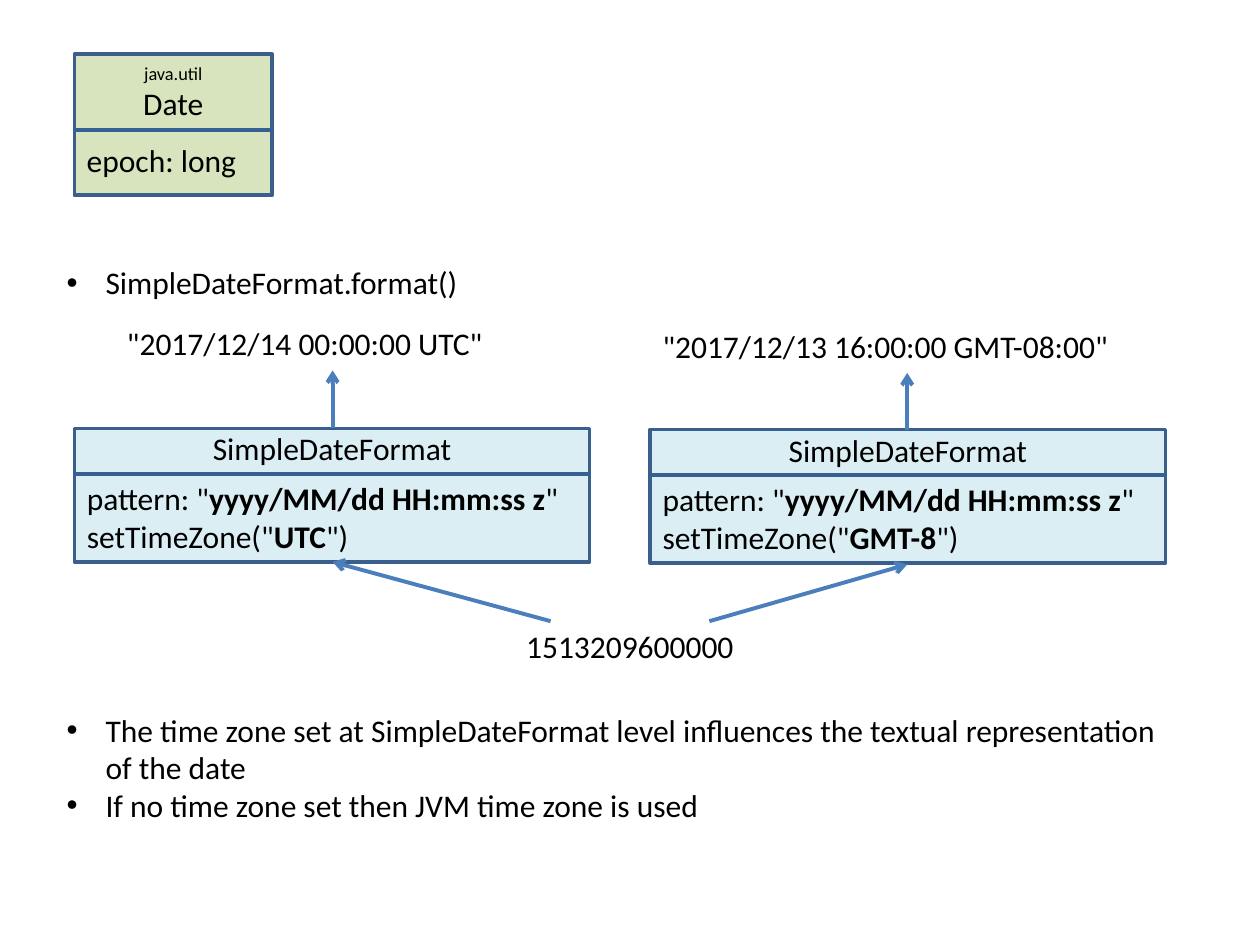
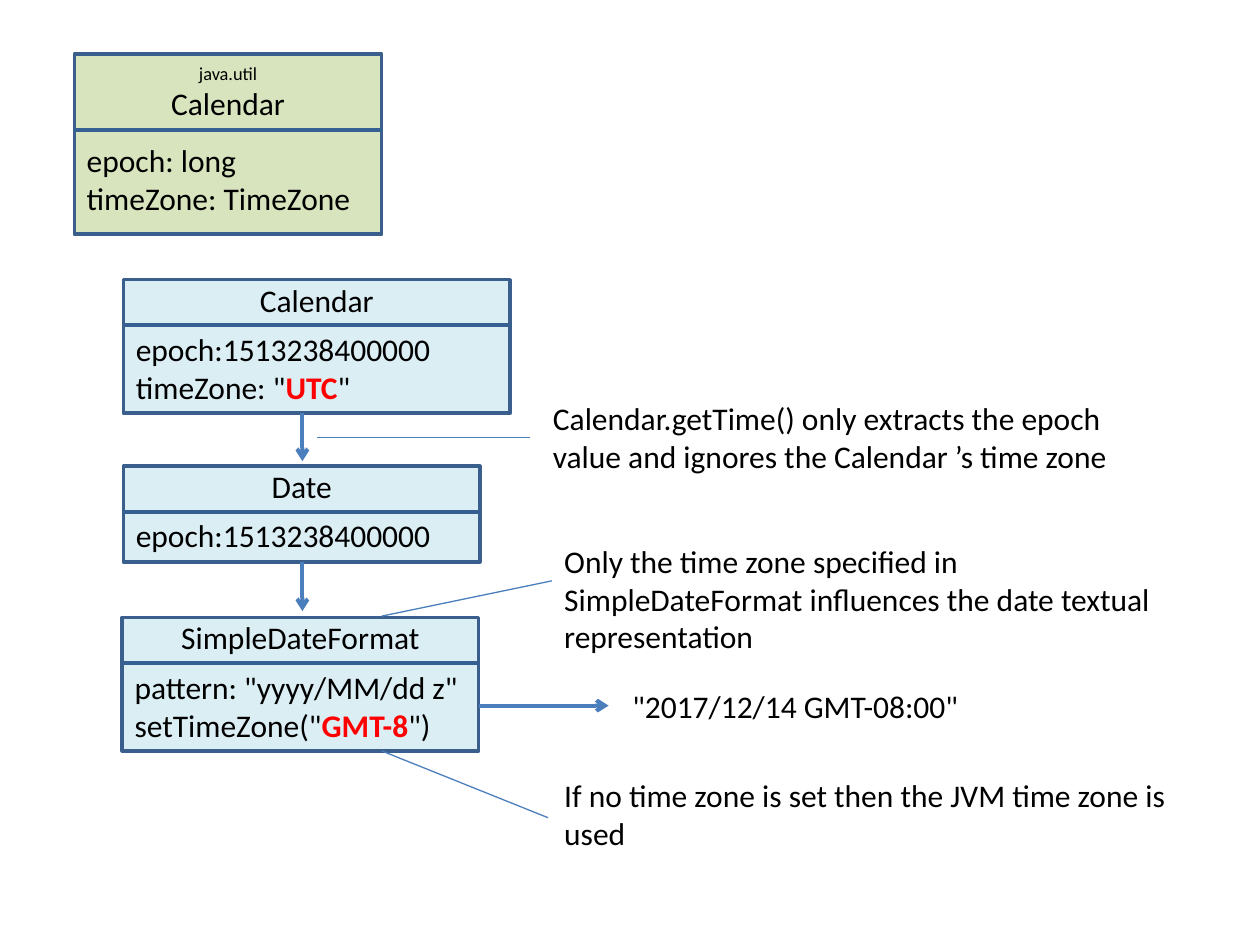
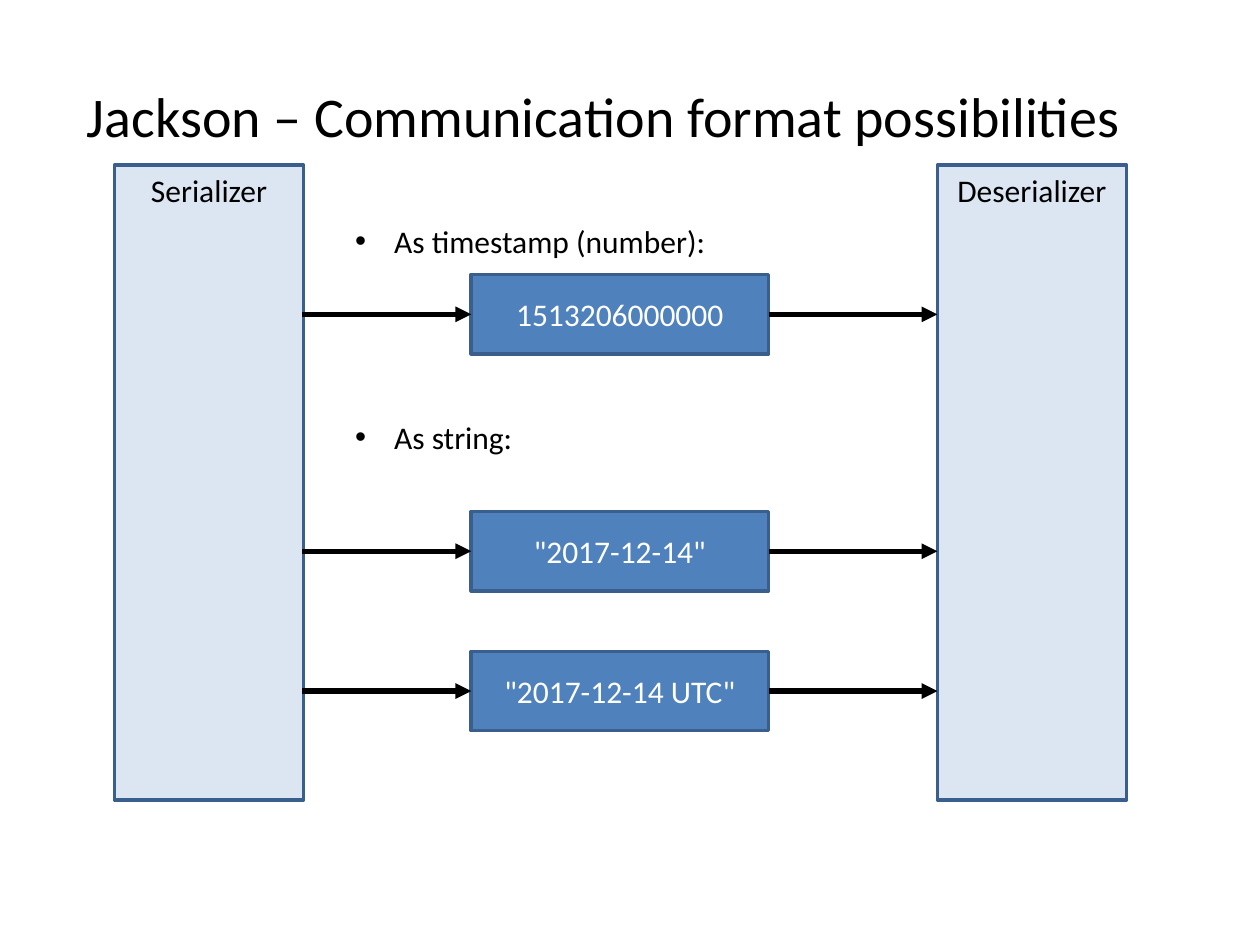
from lxml.etree import SubElement
from pptx import Presentation
from pptx.dml.color import RGBColor
from pptx.enum.shapes import MSO_CONNECTOR, MSO_SHAPE
from pptx.enum.text import MSO_ANCHOR, MSO_AUTO_SIZE, PP_ALIGN
from pptx.oxml.ns import qn
from pptx.util import Inches, Pt

INK, WHITE, RED = "000000", "FFFFFF", "FF0000"
GREEN, AQUA, PALE, BLUE = "D7E4BD", "DBEEF4", "DCE6F2", "4F81BD"
EDGE, RULE, LINK = "3A5F8C", "376092", "4B7EBC"
LEFT, MID = PP_ALIGN.LEFT, PP_ALIGN.CENTER

FRAME = {"word_wrap": True, "auto_size": MSO_AUTO_SIZE.SHAPE_TO_FIT_TEXT,
         "vertical_anchor": MSO_ANCHOR.TOP}
FONT = {"name": "Calibri", "size": Pt(18)}


def write(shape, lines, align=LEFT, bullet=False, color=INK, strong=INK, frame={}, font={}):
    body = shape.text_frame
    for key, value in {**FRAME, **frame}.items():
        setattr(body, key, value)
    for row, line in enumerate(lines):
        para = body.add_paragraph() if row else body.paragraphs[0]
        para.alignment = align
        if bullet:
            props = para._p.get_or_add_pPr()
            props.set("marL", str(Inches(0.31)))
            props.set("indent", str(-Inches(0.31)))
            SubElement(props, qn("a:buFont"), typeface="Arial")
            SubElement(props, qn("a:buChar"), char="•")
        for part, text in enumerate(line.split("*")):
            bold = part % 2 == 1
            run = para.add_run()
            run.text = text
            for key, value in {**FONT, "bold": bold, **font}.items():
                setattr(run.font, key, value)
            run.font.color.rgb = RGBColor.from_string(strong if bold else color)


def join(slide, ends, color=LINK, width=2.25, tip=None):
    line = slide.shapes.add_connector(MSO_CONNECTOR.STRAIGHT, *map(Inches, ends))
    line.line.color.rgb = RGBColor.from_string(color)
    line.line.width = Pt(width)
    if tip:
        SubElement(line.line._get_or_add_ln(), qn("a:tailEnd"), type=tip)
    SubElement(line._element.spPr, qn("a:effectLst"))


deck = Presentation()
deck.slide_width, deck.slide_height = Inches(10), Inches(7.5)
dates, zones, wire = [deck.slides.add_slide(deck.slide_layouts[n]) for n in (6, 6, 5)]

boxes = [
    (dates, (0.59, 0.43, 1.57, 1.12), GREEN),
    (dates, (0.59, 3.4, 4.09, 1.06), AQUA),
    (dates, (5.16, 3.41, 4.09, 1.06), AQUA),
    (zones, (0.59, 0.43, 2.44, 1.43), GREEN),
    (zones, (0.98, 2.22, 3.07, 1.06), AQUA),
    (zones, (0.98, 3.7, 2.83, 0.76), AQUA),
    (zones, (0.97, 4.9, 2.83, 1.06), AQUA),
    (wire, (0.91, 1.31, 1.5, 5.04), PALE),
    (wire, (7.44, 1.31, 1.5, 5.04), PALE),
    (wire, (3.74, 2.18, 2.36, 0.63), BLUE),
    (wire, (3.74, 4.06, 2.36, 0.63), BLUE),
    (wire, (3.74, 5.17, 2.36, 0.63), BLUE),
]
rects = []
for slide, box, fill in boxes:
    rect = slide.shapes.add_shape(MSO_SHAPE.RECTANGLE, *map(Inches, box))
    rect.shadow.inherit = False
    rect.fill.solid()
    rect.fill.fore_color.rgb = RGBColor.from_string(fill)
    rect.line.color.rgb = RGBColor.from_string(EDGE)
    rect.line.width = Pt(2)
    rects.append(rect)

full = 'pattern: "*yyyy/MM/dd HH:mm:ss z*"'
stamp = "epoch:1513238400000"
cards = [
    ("Date", ["epoch: long"]),
    ("SimpleDateFormat", [full, 'setTimeZone("*UTC*")']),
    ("SimpleDateFormat", [full, 'setTimeZone("*GMT-8*")']),
    ("Calendar", ["epoch: long", "timeZone: TimeZone"]),
    ("Calendar", [stamp, 'timeZone: "*UTC*"']),
    ("Date", [stamp]),
    ("SimpleDateFormat", ['pattern: "yyyy/MM/dd z"', 'setTimeZone("*GMT-8*")']),
]
for (slide, (x, y, w, h), fill), (name, rows) in zip(boxes, cards):
    util = fill == GREEN
    head, tall, rule, body = (0.01, 0.58, 0.6, 0.64) if util else (-0.04, 0.4, 0.36, 0.35)
    top = slide.shapes.add_textbox(*map(Inches, (x, y + head, w, tall)))
    write(top, ["java.util", name] if util else [name], MID)
    if util:
        top.text_frame.paragraphs[0].runs[0].font.size = Pt(10.5)
    join(slide, (x, y + rule, x + w, y + rule), RULE)
    low = slide.shapes.add_textbox(*map(Inches, (x, y + body, w, 0.09 + 0.31 * len(rows))))
    write(low, rows, strong=RED if slide is zones else INK)

notes = [
    (dates, (0.43, 2.04, 8.5, 0.4), ["SimpleDateFormat.format()"], LEFT, True),
    (dates, (0.91, 2.52, 3.46, 0.4), ['"2017/12/14 00:00:00 UTC"'], LEFT, False),
    (dates, (5.16, 2.55, 4.09, 0.4), ['"2017/12/13 16:00:00 GMT-08:00"'], LEFT, False),
    (dates, (3.82, 4.93, 2.36, 0.4), ["1513209600000"], MID, False),
    (dates, (0.43, 5.59, 8.98, 1.01),
     ["The time zone set at SimpleDateFormat level influences the textual "
      "representation of the date",
      "If no time zone set then JVM time zone is used"], LEFT, True),
    (zones, (4.29, 3.12, 4.77, 0.71),
     ["Calendar.getTime() only extracts the epoch value and ignores the "
      "Calendar\u00a0’s time zone"], LEFT, False),
    (zones, (4.38, 4.25, 5, 1.01),
     ["Only the time zone specified in SimpleDateFormat influences the date "
      "textual representation"], LEFT, False),
    (zones, (4.92, 5.4, 2.91, 0.4), ['"2017/12/14 GMT-08:00"'], LEFT, False),
    (zones, (4.38, 6.11, 5, 0.71),
     ["If no time zone is set then the JVM time zone is used"], LEFT, False),
    (wire, (0.91, 1.31, 1.5, 0.4), ["Serializer"], MID, False),
    (wire, (7.44, 1.31, 1.5, 0.4), ["Deserializer"], MID, False),
    (wire, (2.72, 1.71, 3.46, 0.4), ["As timestamp (number):"], LEFT, True),
    (wire, (2.72, 3.27, 3.46, 0.4), ["As string:"], LEFT, True),
]
for slide, box, lines, align, bullet in notes:
    write(slide.shapes.add_textbox(*map(Inches, box)), lines, align, bullet)

for slide, ends in [
    (dates, (2.64, 3.4, 2.64, 2.94)),
    (dates, (7.2, 3.41, 7.2, 2.96)),
    (dates, (4.37, 4.93, 2.64, 4.46)),
    (dates, (5.63, 4.93, 7.2, 4.48)),
    (zones, (2.4, 3.28, 2.4, 3.66)),
    (zones, (2.4, 4.46, 2.4, 4.85)),
    (zones, (3.8, 5.6, 4.83, 5.6)),
]:
    join(slide, ends, tip="arrow")

for ends in [(4.21, 3.47, 2.52, 3.47), (4.38, 4.61, 3.03, 4.89), (4.35, 6.49, 3.03, 5.96)]:
    join(zones, ends, width=0.75)

title = wire.shapes.title
spot = {"left": 0.59, "top": 0.6, "width": 8.5, "height": 0.64}
for key, value in spot.items():
    setattr(title, key, Inches(value))
write(title, ["Jackson – Communication format possibilities"], font={"size": Pt(32)})

values = ["1513206000000", '"2017-12-14"', '"2017-12-14 UTC"']
fixed = {"auto_size": MSO_AUTO_SIZE.NONE, "vertical_anchor": MSO_ANCHOR.MIDDLE}
for rect, (slide, (x, y, w, h), fill), value in zip(rects[-3:], boxes[-3:], values):
    write(rect, [value], MID, color=WHITE, frame=fixed)
    mid = y + h / 2
    for start, end in [(2.4, x), (x + w, 7.44)]:
        join(slide, (start, mid, end, mid), INK, 3, "triangle")

deck.save("out.pptx")
